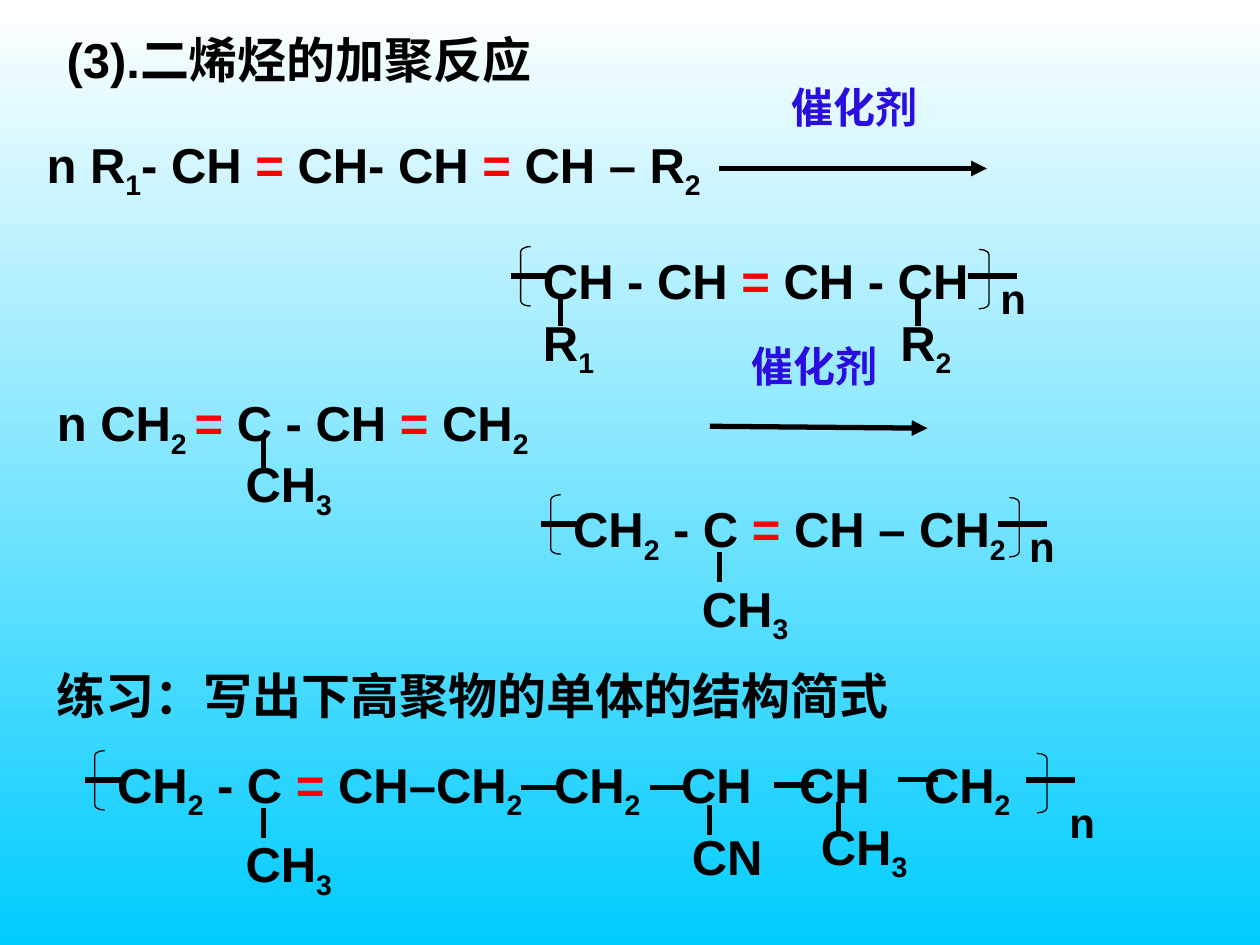
from lxml.etree import SubElement
from pptx import Presentation
from pptx.dml.color import RGBColor
from pptx.enum.shapes import MSO_CONNECTOR, MSO_SHAPE
from pptx.oxml.ns import qn
from pptx.util import Pt

THEME = {
    "font": "Arial",
    "black": RGBColor(0, 0, 0),
    "red": RGBColor(255, 0, 0),
    "blue": RGBColor(0x2B, 0x0D, 0xDF),
    "top": RGBColor(255, 255, 255),
    "bottom": RGBColor(0, 0xCC, 255),
    "large": 28,
    "small": 24,
    "bond": 3,
    "bracket": 0.75,
}

HEADINGS = [
    ("(3).二烯烃的加聚反应", 31, 13.6, 284, 75),
    ("练习：写出下高聚物的单体的结构简式", 25.4, 376.7, 510, 41),
]
MONOMERS = [
    ("n R|_1|- CH |=| CH- CH |=| CH – R|_2", 19.6, 73.4, 402, 45),
    ("n CH|_2 |=| C - CH |=| CH|_2", 25.4, 221, 420, 45),
]
CATALYST = "催化剂"
REACTIONS = [
    {"label": (445, 43.2), "arrow": (411, 96.3, 564, 96.3)},
    {"label": (422.3, 190.8), "arrow": (405.6, 243.6, 530, 244.7)},
]
UNITS = [
    {"formula": "CH - CH |=| CH - CH", "at": (303.2, 139.7), "width": 284,
     "close": 559.4, "count": (564.5, 151.9)},
    {"formula": "CH|_2| - C |=| CH – CH|_2", "at": (320.4, 281.5), "width": 284,
     "close": 576.7, "count": (581, 293.8)},
    {"formula": "CH|_2| - C |=| CH–CH|_2|\tCH|_2|\tCH\tCH\tCH|_2", "at": (59.8, 427.7),
     "width": 572, "close": 592.6, "count": (604, 451.4),
     "tabs": (249.7, 322.3, 389.7, 461.1)},
]
SIDE_GROUPS = [
    ("R|_1", 303.2, 175, 5.7),
    ("R|_2", 507.4, 175, 5.7),
    ("CH|_3", 133.2, 255.8, 5.5),
    ("CH|_3", 394, 327, 11.4),
    ("CH|_3", 133.2, 473, 11.4),
    ("CN", 388.2, 469, 9),
    ("CH|_3", 462, 463, 4.5),
]
CHAIN_BONDS = [(297.5, 450), (371.3, 450), (442.3, 448.5), (513.2, 445.6)]
CHAIN_BOND_LENGTH = 22.7
SIDE_BOND_LENGTH = 17
SIDE_BOND_INSET = 17.2
BRACKET_SIZE = (5.7, 34)


def add_text(slide, text, left, top, width, height, size="large", color="black", tabs=()):
    box = slide.shapes.add_textbox(Pt(left), Pt(top), Pt(width), Pt(height))
    box.text_frame.word_wrap = True
    paragraph = box.text_frame.paragraphs[0]
    if tabs:
        tab_list = SubElement(paragraph._p.get_or_add_pPr(), qn("a:tabLst"))
        for position in tabs:
            SubElement(tab_list, qn("a:tab"), pos=str(int(Pt(position))), algn="l")
    for piece in text.split("|"):
        run = paragraph.add_run()
        run.text = piece.removeprefix("_")
        run.font.name = THEME["font"]
        run.font.size = Pt(THEME[size])
        run.font.bold = True
        run.font.color.rgb = THEME["red" if piece == "=" else color]
        if piece.startswith("_"):
            run._r.get_or_add_rPr().set("baseline", "-25000")


def add_line(slide, x1, y1, x2, y2, arrow=False):
    line = slide.shapes.add_connector(MSO_CONNECTOR.STRAIGHT, Pt(x1), Pt(y1), Pt(x2), Pt(y2))
    line.line.color.rgb = THEME["black"]
    line.line.width = Pt(THEME["bond"])
    if arrow:
        SubElement(line.line._get_or_add_ln(), qn("a:tailEnd"), type="triangle")
    SubElement(line._element.spPr, qn("a:effectLst"))


def add_bracket(slide, kind, left, top):
    width, height = BRACKET_SIZE
    bracket = slide.shapes.add_shape(kind, Pt(left), Pt(top), Pt(width), Pt(height))
    bracket.adjustments[0] = 0.5
    bracket.shadow.inherit = False
    bracket.fill.background()
    bracket.line.color.rgb = THEME["black"]
    bracket.line.width = Pt(THEME["bracket"])


def add_unit(slide, unit):
    left, top = unit["at"]
    close = unit["close"]
    bond_y = top + 18
    add_bracket(slide, MSO_SHAPE.LEFT_BRACKET, left - BRACKET_SIZE[0], top + 1.2)
    add_text(slide, unit["formula"], left, top, unit["width"], 45, tabs=unit.get("tabs", ()))
    add_line(slide, left - 11.3, bond_y, left - 11.3 + CHAIN_BOND_LENGTH, bond_y)
    add_line(slide, close - 6.5, bond_y, close + 21.8, bond_y)
    add_bracket(slide, MSO_SHAPE.RIGHT_BRACKET, close, top + 2.8)
    add_text(slide, "n", *unit["count"], 57, 36, size="small")


def main():
    presentation = Presentation()
    presentation.slide_width, presentation.slide_height = Pt(720), Pt(540)
    slide = presentation.slides.add_slide(presentation.slide_layouts[6])
    background = slide.background.fill
    background.gradient()
    background.gradient_angle = 270
    for stop, position, color in zip(background.gradient_stops, (0, 1), ("top", "bottom")):
        stop.position = position
        stop.color.rgb = THEME[color]

    for text, *frame in HEADINGS + MONOMERS:
        add_text(slide, text, *frame)
    for reaction in REACTIONS:
        add_line(slide, *reaction["arrow"], arrow=True)
        add_text(slide, CATALYST, *reaction["label"], 96.5, 36, size="small", color="blue")
    for unit in UNITS:
        add_unit(slide, unit)
    for text, left, top, rise in SIDE_GROUPS:
        bond_x, bond_top = left + SIDE_BOND_INSET, top - rise
        add_line(slide, bond_x, bond_top, bond_x, bond_top + SIDE_BOND_LENGTH)
        add_text(slide, text, left, top, 74, 45)
    for left, top in CHAIN_BONDS:
        add_line(slide, left, top, left + CHAIN_BOND_LENGTH, top)

    presentation.save("out.pptx")


if __name__ == "__main__":
    main()
